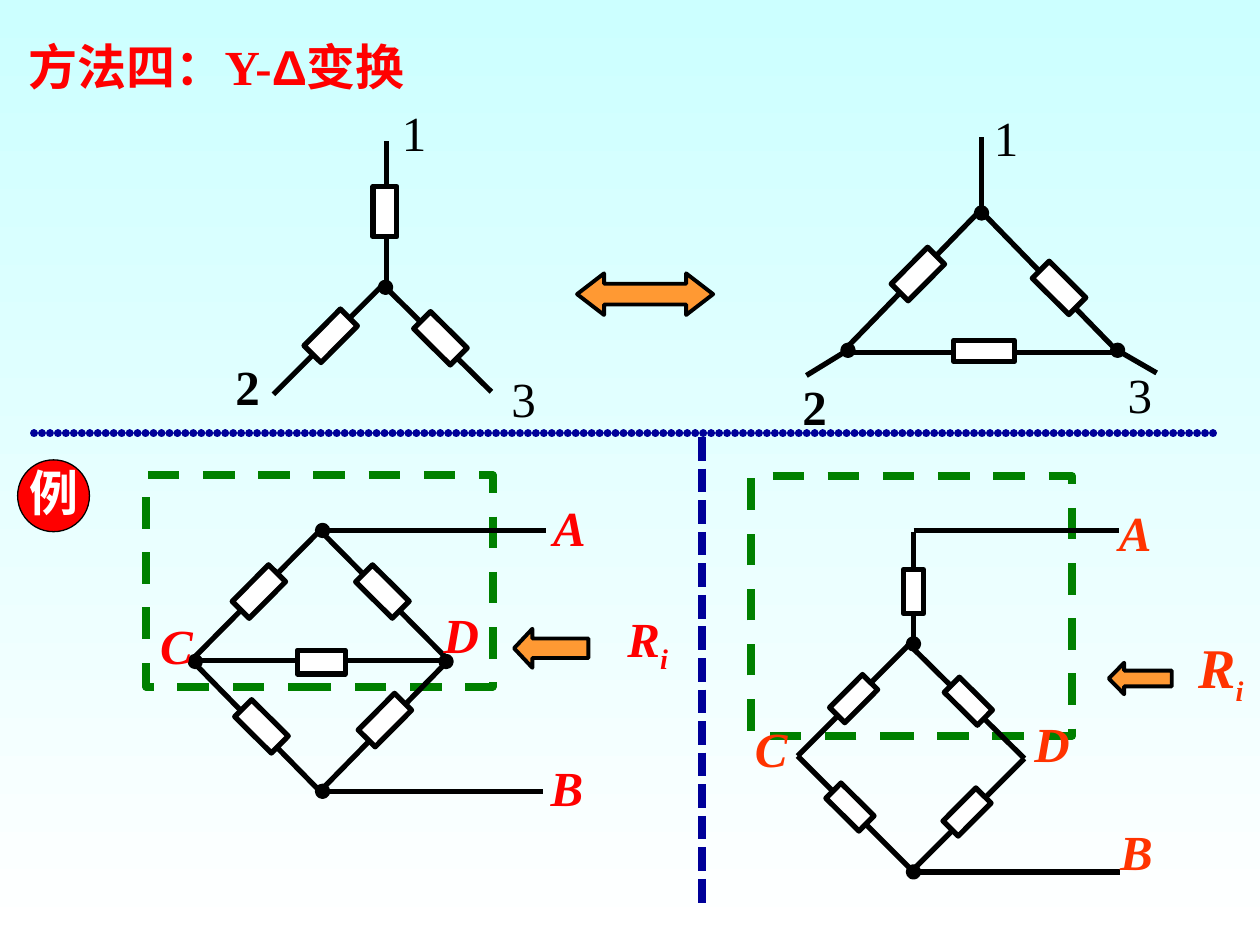
from lxml.etree import SubElement
from pptx import Presentation
from pptx.dml.color import RGBColor
from pptx.enum.dml import MSO_LINE
from pptx.enum.shapes import MSO_CONNECTOR, MSO_SHAPE
from pptx.enum.text import MSO_ANCHOR, MSO_AUTO_SIZE, PP_ALIGN
from pptx.oxml.ns import qn
from pptx.util import Inches, Pt

BLACK = RGBColor(0, 0, 0)
WHITE = RGBColor(255, 255, 255)
RED = RGBColor(255, 0, 0)
ORANGE_RED = RGBColor(255, 0x33, 0)
ORANGE = RGBColor(255, 0x99, 0x33)
GREEN = RGBColor(0, 0x80, 0)
NAVY = RGBColor(0, 0, 0x99)
SKY = RGBColor(0xCC, 255, 255)

COLUMNS, ROWS = 10, 7.5
RISING, FALLING = 44.8, 134.8
LARGE, SMALL = (0.19, 0.41), (0.17, 0.37)


def add_span(para, text, font="Times New Roman", size=28, color=BLACK,
             bold=False, italic=False, subscript=False):
    span = para.add_run()
    span.text = text
    span.font.name = font
    span.font.size = Pt(size)
    span.font.color.rgb = color
    span.font.bold = bold
    span.font.italic = italic
    if subscript:
        span._r.get_or_add_rPr().set("baseline", "-25000")


class CircuitPage:
    def __init__(self, deck):
        self.page = deck.slides.add_slide(deck.slide_layouts[5])
        self.column = deck.slide_width / COLUMNS
        self.row = deck.slide_height / ROWS

    def place(self, across, down):
        return round(across * self.column), round(down * self.row)

    def background(self, top, bottom):
        fill = self.page.background.fill
        fill.gradient()
        fill.gradient_angle = 270
        for stop, color in zip(fill.gradient_stops, (top, bottom)):
            stop.color.rgb = color

    def format_frame(self, frame, align, anchor=MSO_ANCHOR.MIDDLE):
        frame.word_wrap = False
        frame.auto_size = MSO_AUTO_SIZE.SHAPE_TO_FIT_TEXT
        frame.vertical_anchor = anchor
        para = frame.paragraphs[0]
        para.alignment = align
        return para

    def title(self, left, top, width, height, spans):
        box = self.page.shapes.title
        box.left, box.top = self.place(left, top)
        box.width, box.height = self.place(width, height)
        para = self.format_frame(box.text_frame, PP_ALIGN.LEFT)
        for text, font in spans:
            add_span(para, text, font=font, color=RED, bold=True)

    def label(self, text, left, top, width=0.46, height=0.57, below=None,
              below_size=28, anchor=MSO_ANCHOR.MIDDLE, **style):
        box = self.page.shapes.add_textbox(*self.place(left, top), *self.place(width, height))
        para = self.format_frame(box.text_frame, PP_ALIGN.CENTER, anchor)
        add_span(para, text, **style)
        if below:
            add_span(para, below, subscript=True, **{**style, "size": below_size})

    def shape(self, kind, left, top, width, height, fill=None, line=BLACK,
              weight=3, dash=None, angle=0, adjust=()):
        shape = self.page.shapes.add_shape(
            kind, *self.place(left, top), *self.place(width, height))
        shape.shadow.inherit = False
        shape.rotation = angle
        if fill is None:
            shape.fill.background()
        else:
            shape.fill.solid()
            shape.fill.fore_color.rgb = fill
        shape.line.color.rgb = line
        shape.line.width = Pt(weight)
        if dash:
            shape.line.dash_style = dash
        for index, value in enumerate(adjust):
            shape.adjustments[index] = value

    def resistor(self, left, top, angle=0, size=LARGE):
        self.shape(MSO_SHAPE.RECTANGLE, left, top, *size, fill=WHITE, angle=angle)

    def node(self, across, down, diameter=0.08):
        self.shape(MSO_SHAPE.OVAL, across - diameter / 2, down - diameter / 2,
                   diameter, diameter, fill=BLACK)

    def arrow(self, kind, left, top, width, height, head):
        self.shape(kind, left, top, width, height, fill=ORANGE, weight=2.25,
                   adjust=(0.5, head))

    def line(self, start, end, color=BLACK, weight=3, dash=None, round_dots=False):
        line = self.page.shapes.add_connector(
            MSO_CONNECTOR.STRAIGHT, *self.place(*start), *self.place(*end))
        line.line.color.rgb = color
        line.line.width = Pt(weight)
        if dash:
            line.line.dash_style = dash
        properties = line._element.spPr
        if round_dots:
            outline = properties.find(qn("a:ln"))
            outline.set("cap", "rnd")
            dots = SubElement(outline, qn("a:custDash"))
            SubElement(dots, qn("a:ds"), d="100000", sp="1000")
        SubElement(properties, qn("a:effectLst"))

    def circuit(self, wires, resistors, nodes):
        for start, end in wires:
            self.line(start, end)
        for resistor in resistors:
            self.resistor(*resistor)
        for node in nodes:
            self.node(*node)

    def terminals(self, places):
        for text, left, top in places:
            self.label(text, left, top, width=0.39, bold=text == "2")

    def letters(self, color, places):
        for text, left, top in places:
            self.label(text, left, top, width=0.48 if text == "D" else 0.46,
                       color=color, bold=True, italic=True)


def draw_star(page):
    center = (3.04, 2.26)
    page.circuit(
        [((3.07, 1.12), (3.07, 2.26)), (center, (2.17, 3.13)), (center, (3.9, 3.11))],
        [(2.96, 1.48, 0, (0.19, 0.4)), (3.4, 2.48, FALLING), (2.53, 2.46, RISING)],
        [(3.06, 2.28)])
    page.terminals([("1", 3.09, 0.76), ("2", 1.77, 2.78), ("3", 3.96, 2.87)])


def draw_delta(page):
    page.circuit(
        [((6.7, 2.8), (8.84, 2.8)), ((7.79, 1.68), (8.87, 2.79)),
         ((7.77, 1.68), (6.71, 2.77)), ((6.71, 2.79), (6.4, 2.98)),
         ((8.85, 2.77), (9.18, 2.96)), ((7.79, 1.68), (7.79, 1.09))],
        [(7.57, 2.7, 0, (0.48, 0.17)), (8.31, 2.08, FALLING), (7.19, 1.97, RISING)],
        [(6.73, 2.78), (8.87, 2.78), (7.79, 1.69)])
    page.terminals([("1", 7.79, 0.8), ("2", 6.27, 2.94), ("3", 8.85, 2.84)])


def draw_bridge(page):
    top, bottom, left, right = (2.54, 4.21), (2.54, 6.28), (1.52, 5.24), (3.56, 5.24)
    page.circuit(
        [(top, left), (right, bottom), (left, bottom), (top, right), (left, right),
         (top, (4.33, 4.21)), (bottom, (4.31, 6.28))],
        [(2.36, 5.16, 0, (0.38, 0.19)), (1.96, 4.49, RISING), (2.94, 4.49, FALLING),
         (1.98, 5.56, FALLING), (2.96, 5.51, RISING)],
        [(1.55, 5.25), (3.54, 5.25), (2.56, 4.21), (2.56, 6.28)])
    page.letters(RED, [("A", 4.29, 3.9), ("B", 4.27, 5.96),
                       ("C", 1.17, 4.83), ("D", 3.42, 4.75)])
    page.arrow(MSO_SHAPE.LEFT_ARROW, 4.08, 4.99, 0.59, 0.31, 0.47)
    page.label("R", 4.88, 4.78, 0.52, 0.63, below="i", color=RED, bold=True, italic=True)


def draw_converted_bridge(page):
    left, right = (6.33, 6), (8.13, 6.02)
    page.circuit(
        [((7.25, 4.21), (8.88, 4.21)), ((7.25, 4.22), (7.25, 5.12)),
         ((7.2, 5.1), right), ((7.23, 5.1), left), ((7.26, 6.92), (8.89, 6.92)),
         ((7.25, 6.92), left), ((7.25, 6.9), right)],
        [(7.17, 4.52, 0, (0.16, 0.35)), (7.6, 5.38, FALLING, SMALL),
         (6.69, 5.36, RISING, SMALL), (6.66, 6.22, FALLING, SMALL),
         (7.59, 6.26, RISING, SMALL)],
        [(7.25, 5.11), (7.25, 6.92)])
    page.letters(ORANGE_RED, [("A", 8.78, 3.94), ("B", 8.79, 6.47),
                              ("C", 5.89, 5.65), ("D", 8.11, 5.61)])
    page.arrow(MSO_SHAPE.LEFT_ARROW, 8.8, 5.26, 0.5, 0.25, 0.49)
    page.label("R", 9.41, 4.97, 0.56, 0.69, below="i", size=32,
               color=ORANGE_RED, bold=True, italic=True)


def main():
    deck = Presentation()
    deck.slide_width, deck.slide_height = Inches(10), Inches(7.5)
    page = CircuitPage(deck)
    page.background(SKY, WHITE)
    page.title(0.13, 0.24, 3.45, 0.57, [
        ("方法四：Y-", "Times New Roman"), ("Δ", "Arial"), ("变换", "Times New Roman")])
    for frame in ((5.96, 3.78, 2.55, 2.06), (1.16, 3.77, 2.75, 1.68)):
        page.shape(MSO_SHAPE.RECTANGLE, *frame, line=GREEN, weight=4.5, dash=MSO_LINE.DASH)
    page.arrow(MSO_SHAPE.LEFT_RIGHT_ARROW, 4.58, 2.17, 1.08, 0.33, 0.65)
    page.line((0.27, 3.44), (9.69, 3.44), color=NAVY, weight=4.5, round_dots=True)
    draw_star(page)
    draw_bridge(page)
    draw_converted_bridge(page)
    draw_delta(page)
    page.line((5.57, 3.47), (5.57, 7.19), color=NAVY, weight=4.5, dash=MSO_LINE.SQUARE_DOT)
    page.shape(MSO_SHAPE.OVAL, 0.14, 3.65, 0.57, 0.57, fill=RED, weight=0.75)
    page.label("例", 0.13, 3.62, 0.59, anchor=MSO_ANCHOR.TOP, color=WHITE, bold=True)
    deck.save("out.pptx")


if __name__ == "__main__":
    main()
